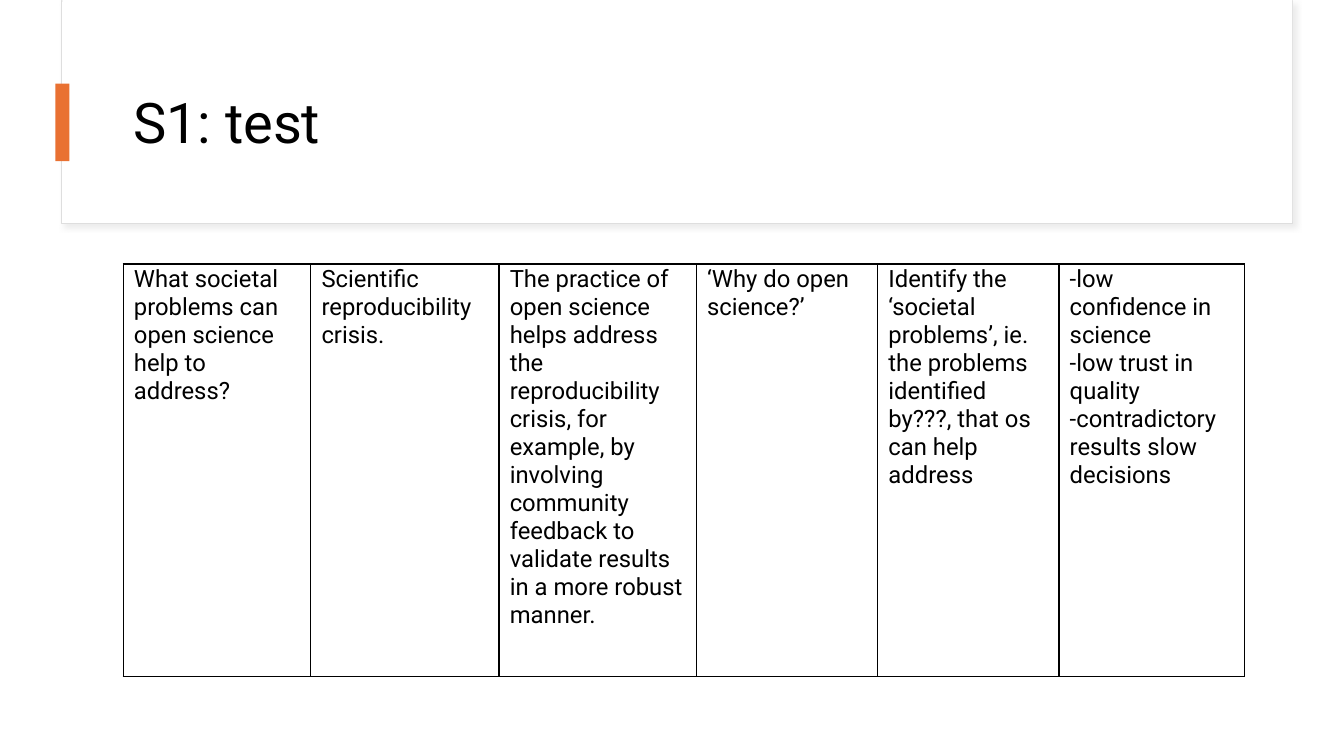
from lxml.etree import SubElement
from pptx import Presentation
from pptx.dml.color import RGBColor
from pptx.enum.shapes import MSO_SHAPE as Preset
from pptx.enum.text import MSO_ANCHOR as Anchor
from pptx.oxml.ns import qn
from pptx.util import Pt

COLORS = {
    "paper": "FFFFFF",
    "ink": "000000",
    "outline": "DEDEDE",
    "shadow": "D9D9D9",
    "accent": "E97132",
}
FONT = "Roboto"

COLUMN_WIDTHS = [134, 134.5, 141, 129.5, 129.5, 132.5]
ANSWERS = [
    ["What societal problems can open science help to address?"],
    ["Scientific reproducibility crisis."],
    ["The practice of open science helps address the reproducibility crisis, "
     "for example, by involving community feedback to validate results in a "
     "more robust manner."],
    ["‘Why do open science?’"],
    ["Identify the ‘societal problems’, ie. the problems identified by???, "
     "that os can help address"],
    ["-low confidence in science",
     "-low trust in quality",
     "-contradictory results slow decisions"],
]


def rgb(color):
    return RGBColor.from_string(COLORS[color])


def add_solid_fill(parent, color):
    fill = SubElement(parent, qn("a:solidFill"))
    SubElement(fill, qn("a:srgbClr"), val=COLORS[color])


def write_text(frame, paragraphs, size=17, color="ink", spacing=None):
    frame.word_wrap = True
    for index, words in enumerate(paragraphs):
        paragraph = frame.paragraphs[0] if index == 0 else frame.add_paragraph()
        paragraph.line_spacing = spacing
        run = paragraph.add_run()
        run.text = words
        run.font.name = FONT
        run.font.size = Pt(size)
        run.font.color.rgb = rgb(color)


class SlideBuilder:
    def __init__(self, slide):
        self.slide = slide

    def box(self, left, top, width, height, fill, line=None):
        shape = self.slide.shapes.add_shape(
            Preset.RECTANGLE, Pt(left), Pt(top), Pt(width), Pt(height))
        shape.shadow.inherit = False
        shape.fill.solid()
        shape.fill.fore_color.rgb = rgb(fill)
        if line:
            shape.line.color.rgb = rgb(line)
            shape.line.width = Pt(0.75)
        else:
            shape.line.fill.background()
        return shape

    def drop_shadow(self, shape, blur=4, distance=3, angle=45, opacity=50):
        effects = shape._element.spPr.find(qn("a:effectLst"))
        shadow = SubElement(
            effects, qn("a:outerShdw"), blurRad=str(Pt(blur)),
            dist=str(Pt(distance)), dir=str(angle * 60000),
            algn="tl", rotWithShape="0")
        tint = SubElement(shadow, qn("a:srgbClr"), val=COLORS["shadow"])
        SubElement(tint, qn("a:alpha"), val=str(opacity * 1000))

    def title(self, left, top, width, height, words):
        heading = self.slide.shapes.add_textbox(
            Pt(left), Pt(top), Pt(width), Pt(height))
        heading.text_frame.vertical_anchor = Anchor.MIDDLE
        write_text(heading.text_frame, [words], size=40, spacing=0.9)

    def table(self, left, top, widths, height, contents):
        """Add a one-row table with one column per entry in contents."""
        table = self.slide.shapes.add_table(
            1, len(widths), Pt(left), Pt(top), Pt(sum(widths)), Pt(height)).table
        table.first_row = table.horz_banding = False
        for column, width in zip(table.columns, widths):
            column.width = Pt(width)
        for cell, paragraphs in zip(table.rows[0].cells, contents):
            cell.margin_left = cell.margin_right = Pt(7.7)
            cell.margin_top, cell.margin_bottom = Pt(0.7), Pt(0)
            write_text(cell.text_frame, paragraphs)
            self.cell_borders(cell)
            cell.fill.background()

    def cell_borders(self, cell, width=1):
        properties = cell._tc.get_or_add_tcPr()
        for side in ("lnL", "lnR", "lnT", "lnB"):
            border = SubElement(properties, qn(f"a:{side}"), w=str(Pt(width)))
            add_solid_fill(border, "ink")


def main():
    deck = Presentation()
    deck.slide_width, deck.slide_height = Pt(960), Pt(540)
    builder = SlideBuilder(deck.slides.add_slide(deck.slide_layouts[6]))

    header_panel = builder.box(44, 0.7, 879, 159, "paper", line="outline")
    builder.drop_shadow(header_panel)
    builder.box(44.6, 0, 878.4, 158.4, "paper")
    builder.title(88, 43.2, 800.6, 92.9, "S1: test")
    builder.box(39.6, 59.8, 10, 55.4, "accent")
    builder.table(88, 188.6, COLUMN_WIDTHS, 294.5, ANSWERS)
    deck.save("out.pptx")


if __name__ == "__main__":
    main()
